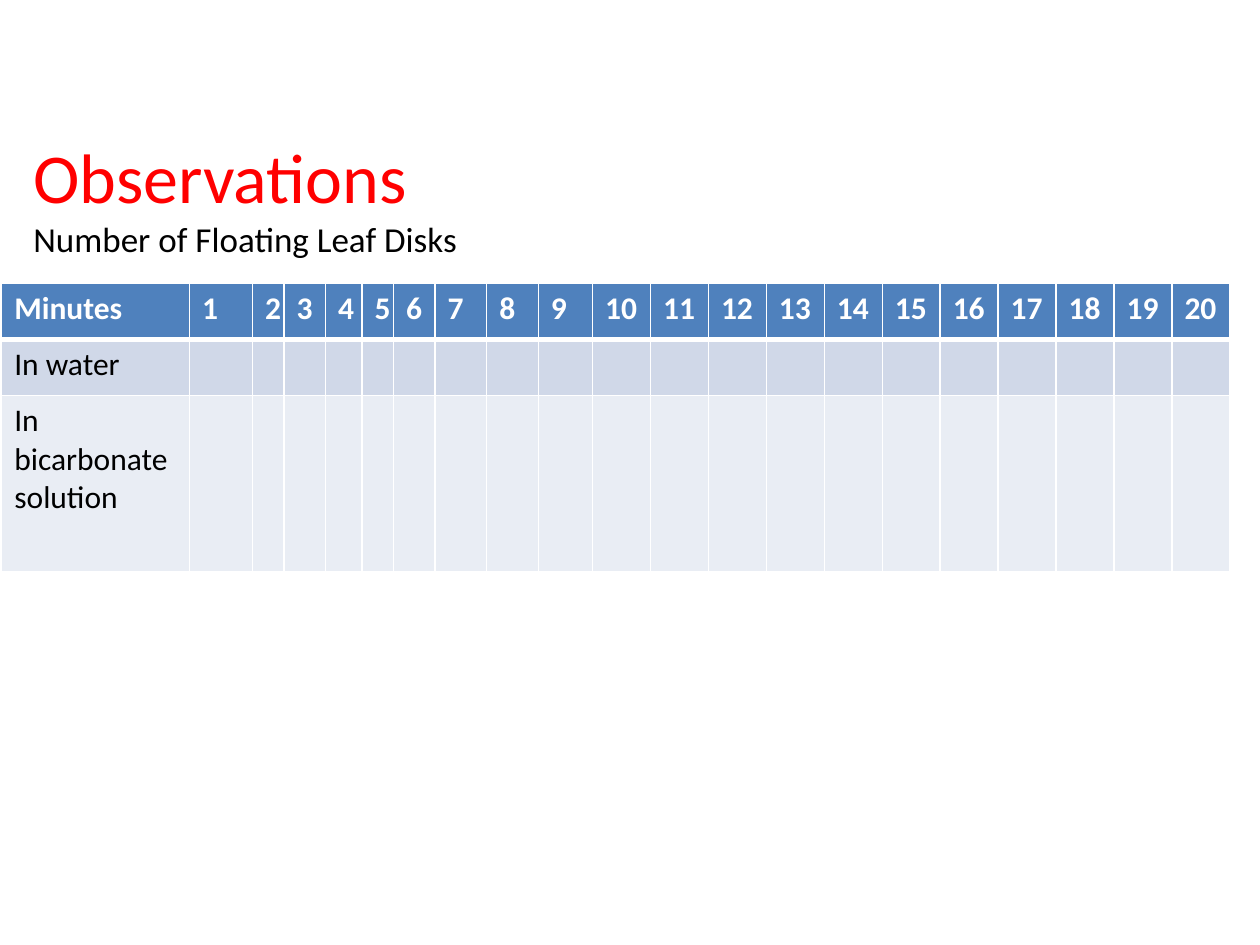
from lxml.etree import SubElement as Sub
from pptx import Presentation
from pptx.dml.color import RGBColor as Color
from pptx.enum.text import MSO_ANCHOR as Anchor
from pptx.oxml.ns import qn
from pptx.util import Pt

THEME = {
    "font": "Calibri",
    "red": "FF0000",
    "black": "000000",
    "white": "FFFFFF",
    "head": "4F81BD",
    "bands": ["D0D8E8", "E9EDF4"],
    "title": 40,
    "sub": 20,
    "cell": 18,
}
TITLE = "Observations"
SUB = "Number of Floating Leaf Disks"
ROWS = [
    ["Minutes"] + [str(n) for n in range(1, 21)],
    ["In water"],
    ["In bicarbonate solution"],
]
WIDTHS = [107.28, 36, 18, 23.76, 20.88, 18, 23.76, 29.52, 29.52, 30.96] + [33.12] * 11
HEIGHTS = [32, 32, 100.8]


def write(para, text, size, color, bold=False):
    """Add one formatted run to a paragraph."""
    run = para.add_run()
    run.text = text
    font = run.font
    font.name, font.size, font.bold = THEME["font"], Pt(size), bold
    font.color.rgb = Color.from_string(color)


def edge(cell, side, width):
    """Draw one white border of a cell."""
    props = cell._tc.get_or_add_tcPr()
    line = Sub(props, qn("a:ln" + side), w=str(Pt(width)))
    fill = Sub(line, qn("a:solidFill"))
    Sub(fill, qn("a:srgbClr"), val=THEME["white"])


def add_title(slide):
    """Add the heading and its second line."""
    box = slide.shapes.add_textbox(Pt(12), Pt(42), Pt(696), Pt(140))
    frame = box.text_frame
    frame.word_wrap = True
    frame.vertical_anchor = Anchor.MIDDLE
    para = frame.paragraphs[0]
    write(para, TITLE, THEME["title"], THEME["red"])
    para.add_line_break()
    write(para, SUB, THEME["sub"], THEME["black"])


def add_grid(slide):
    """Add the table of minutes and treatments."""
    shape = slide.shapes.add_table(
        len(ROWS), len(WIDTHS), Pt(1), Pt(162), Pt(sum(WIDTHS)), Pt(sum(HEIGHTS))
    )
    table = shape.table
    for col, width in zip(table.columns, WIDTHS):
        col.width = Pt(width)
    fills = [THEME["head"]] + THEME["bands"]
    for r, texts in enumerate(ROWS):
        table.rows[r].height = Pt(HEIGHTS[r])
        ink = THEME["black"] if r else THEME["white"]
        sides = {"L": 1, "R": 1, "T": 3 if r == 1 else 1, "B": 1 if r else 3}
        for c in range(len(WIDTHS)):
            cell = table.cell(r, c)
            for side, width in sides.items():
                edge(cell, side, width)
            cell.fill.solid()
            cell.fill.fore_color.rgb = Color.from_string(fills[r])
            if c < len(texts):
                para = cell.text_frame.paragraphs[0]
                write(para, texts[c], THEME["cell"], ink, bold=r == 0)


def main():
    """Build and save the slide."""
    deck = Presentation()
    deck.slide_width, deck.slide_height = Pt(720), Pt(540)
    slide = deck.slides.add_slide(deck.slide_layouts[6])
    add_title(slide)
    add_grid(slide)
    deck.save("out.pptx")


if __name__ == "__main__":
    main()
